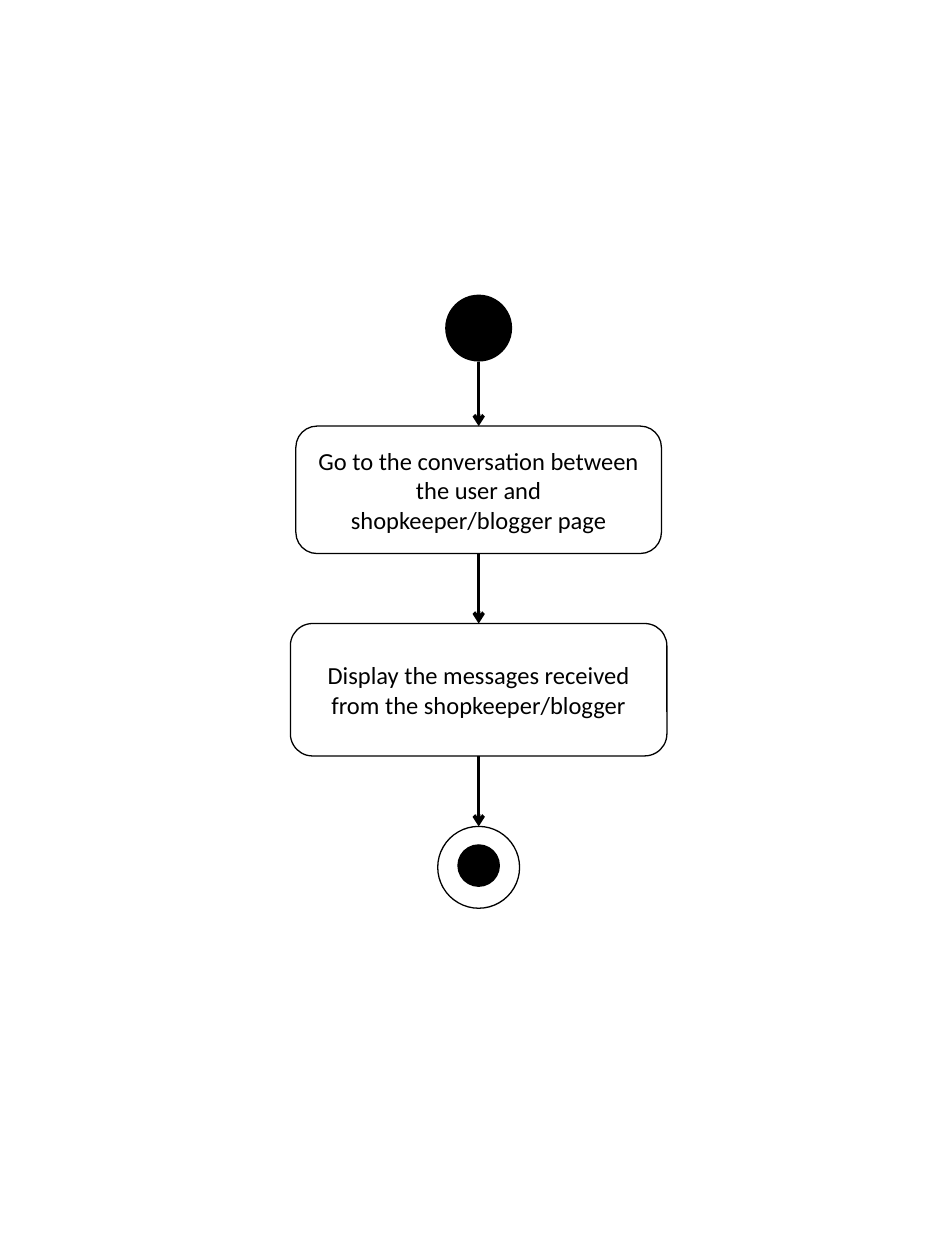
"""Build an activity diagram for viewing messages from a shopkeeper or blogger."""
import pptx
import pptx.dml.color
import pptx.enum.shapes
import pptx.enum.text
import pptx.oxml.ns
import pptx.util
from lxml import etree

Cm, Pt = pptx.util.Cm, pptx.util.Pt
SHAPE = pptx.enum.shapes.MSO_SHAPE
BLACK = pptx.dml.color.RGBColor(0, 0, 0)
WHITE = pptx.dml.color.RGBColor(255, 255, 255)
CENTER = 9.65

prs = pptx.Presentation()
prs.slide_width, prs.slide_height = Cm(19.05), Cm(25.4)
s = prs.slides.add_slide(prs.slide_layouts[6])


def add_node(kind, top, width, height, fill):
    sp = s.shapes.add_shape(kind, Cm(CENTER - width / 2), Cm(top), Cm(width), Cm(height))
    sp.shadow.inherit = False
    sp.fill.solid()
    sp.fill.fore_color.rgb = fill
    if fill == BLACK:
        sp.line.fill.background()
    else:
        sp.line.color.rgb = BLACK
        sp.line.width = Pt(0.75)
    return sp


start = add_node(SHAPE.OVAL, 5.94, 1.35, 1.35, BLACK)

steps = []
for text, top, width, height in [
    ("Go to the conversation between the user and shopkeeper/blogger page", 8.59, 7.37, 2.57),
    ("Display the messages received from the shopkeeper/blogger", 12.57, 7.59, 2.67),
]:
    sp = add_node(SHAPE.ROUNDED_RECTANGLE, top, width, height, WHITE)
    tf = sp.text_frame
    tf.word_wrap = True
    tf.vertical_anchor = pptx.enum.text.MSO_ANCHOR.MIDDLE
    p = tf.paragraphs[0]
    p.text = text
    p.alignment = pptx.enum.text.PP_ALIGN.CENTER
    p.font.name = "Calibri"
    p.font.size = Pt(14)
    p.font.color.rgb = BLACK
    steps.append(sp)

end = add_node(SHAPE.OVAL, 16.66, 1.65, 1.65, WHITE)
add_node(SHAPE.OVAL, 17.02, 0.86, 0.86, BLACK)

nodes = [start, *steps, end]
for source, target in zip(nodes, nodes[1:]):
    arrow = s.shapes.add_connector(
        pptx.enum.shapes.MSO_CONNECTOR.STRAIGHT,
        Cm(CENTER), source.top + source.height, Cm(CENTER), target.top)
    if source in steps:
        arrow.begin_connect(source, 2)
    arrow.end_connect(target, 0)
    arrow.line.color.rgb = BLACK
    arrow.line.width = Pt(2)
    etree.SubElement(arrow.line._get_or_add_ln(), pptx.oxml.ns.qn("a:tailEnd"), type="arrow")
    etree.SubElement(arrow._element.spPr, pptx.oxml.ns.qn("a:effectLst"))

prs.save("out.pptx")
